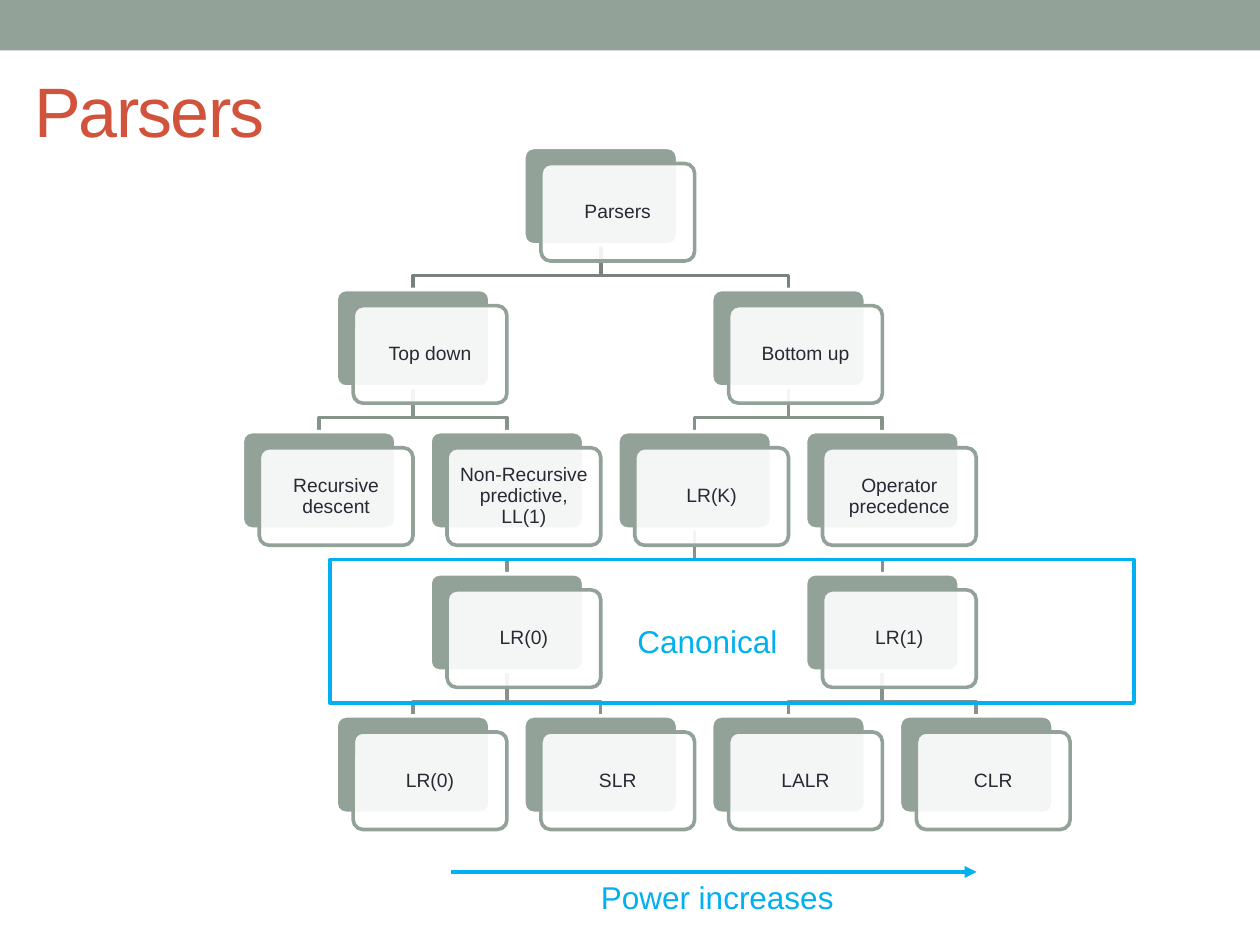
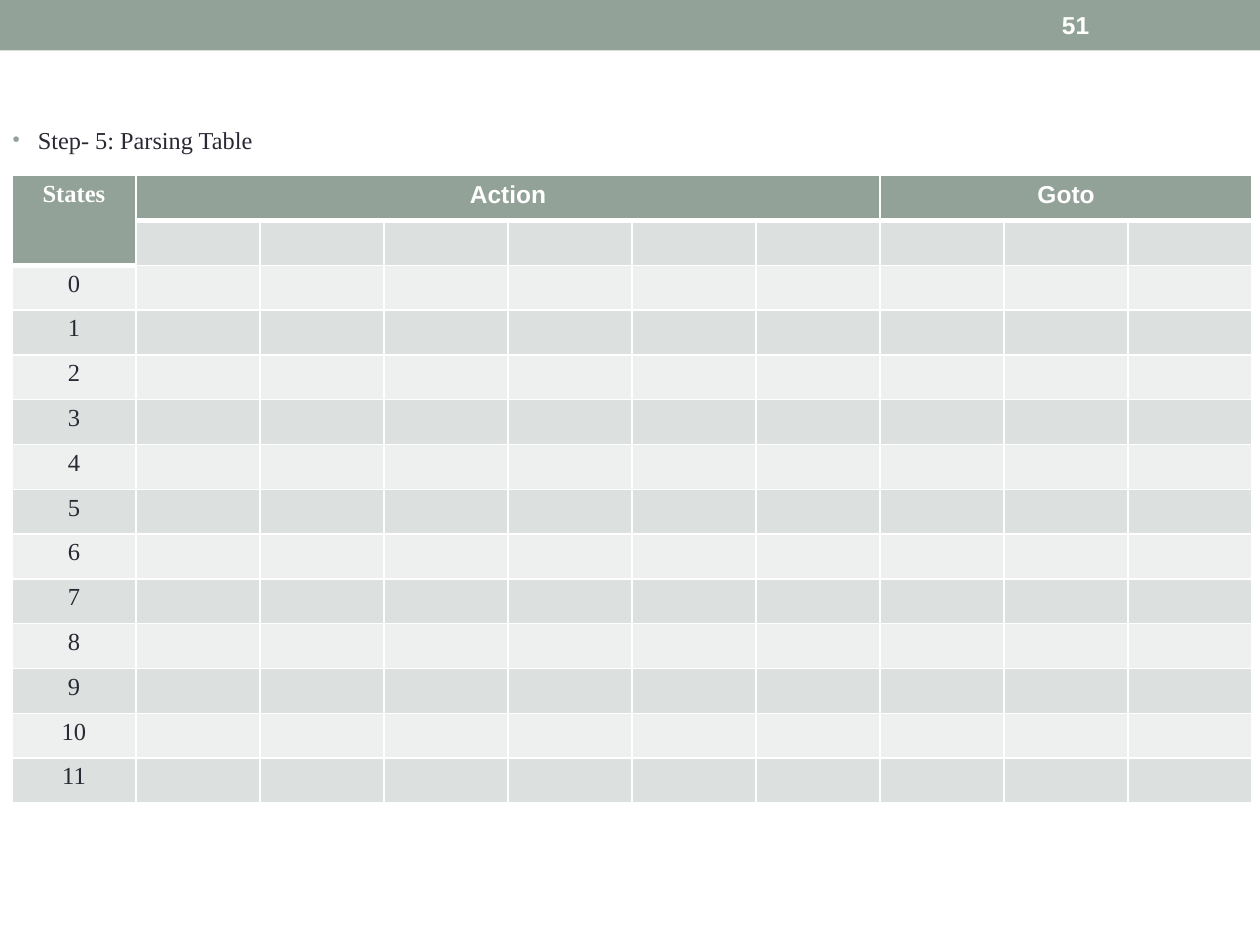
from lxml.etree import SubElement
from pptx import Presentation
from pptx.dml.color import RGBColor
from pptx.enum.shapes import MSO_CONNECTOR as CONNECTOR, MSO_SHAPE as SHAPE
from pptx.enum.text import MSO_ANCHOR as ANCHOR, MSO_AUTO_SIZE as AUTO_SIZE, PP_ALIGN as ALIGN
from pptx.oxml.ns import qn
from pptx.util import Inches, Pt

# Shared look; lengths count squares of a grid 100 columns by 75 rows
SQUARE = Inches(0.1)
SAGE, RUST, INK, SKY, WHITE = "93A299", "D2533C", "292934", "00B0F0", "FFFFFF"
ROOT_BRANCH, BRANCH = "76827B", "85938B"
BAND_LIGHT, BAND_DARK = "EEF0EF", "DCE0DE"
SANS, SERIF = "Arial", "Times New Roman"

# Parser tree: label, column of its centre, level, index of its parent
PARSER_TREE = [
    ("Parsers", 3, 0, None),
    ("Top down", 1, 1, 0),
    ("Bottom up", 5, 1, 0),
    ("Recursive descent", 0, 2, 1),
    ("Non-Recursive predictive, LL(1)", 2, 2, 1),
    ("LR(K)", 4, 2, 2),
    ("Operator precedence", 6, 2, 2),
    ("LR(0)", 2, 3, 5),
    ("LR(1)", 6, 3, 5),
    ("LR(0)", 1, 4, 7),
    ("SLR", 3, 4, 7),
    ("LALR", 5, 4, 8),
    ("CLR", 7, 4, 8),
]
TREE_LEFT, TREE_TOP = 25.33, 11.7
TREE_COLUMN, TREE_LEVEL = 7.45, 11.28
CARD_WIDTH, CARD_HEIGHT = 12.2, 7.74
CARD_SHIFT = (1.35, 1.28)
BRANCH_DROP = 2.42

# Parsing table: first column, spanning heads and number of states
ACTION_COLUMNS, GOTO_COLUMNS, STATES = 6, 3, 12
HEAD_ROWS = 2


def grid(*squares):
    return [round(count * SQUARE) for count in squares]


def color(hex_string):
    return RGBColor.from_string(hex_string)


def move(shape, place):
    shape.left, shape.top, shape.width, shape.height = grid(*place)


def style_shape(shape, fill=None, line=None, opacity=None):
    shape.shadow.inherit = False
    if fill:
        shape.fill.solid()
        shape.fill.fore_color.rgb = color(fill)
    else:
        shape.fill.background()
    if opacity:
        tint = shape.element.spPr.find(qn("a:solidFill"))[0]
        SubElement(tint, qn("a:alpha"), val=str(opacity * 1000))
    if line:
        shape.line.color.rgb = color(line)
        shape.line.width = Pt(2.08)
    else:
        shape.line.fill.background()


def add_box(slide, kind, place, **style):
    box = slide.shapes.add_shape(kind, *grid(*place))
    style_shape(box, **style)
    return box


def write(frame, text, size, ink, font=SANS, bold=False, align=ALIGN.LEFT):
    frame.word_wrap = True
    paragraph = frame.paragraphs[0]
    paragraph.alignment = align
    run = paragraph.add_run()
    run.text = text
    run.font.size, run.font.name, run.font.bold = Pt(size), font, bold
    run.font.color.rgb = color(ink)
    return run


def add_label(slide, text, place, size, ink, bold=False, anchor=ANCHOR.TOP):
    frame = slide.shapes.add_textbox(*grid(*place)).text_frame
    frame.vertical_anchor = anchor
    write(frame, text, size, ink, bold=bold)


def add_band_to_master(prs, slide):
    band = add_box(slide, SHAPE.RECTANGLE, (0, 0, 100, 4), fill=SAGE)
    band.element.nvSpPr.cNvPr.set("id", "20")
    prs.slide_master.shapes[0].element.addprevious(band.element)


def add_title(slide, text):
    title = slide.shapes.title
    move(title, (1.7, 3.3, 90, 10.8))
    frame = title.text_frame
    frame.auto_size = AUTO_SIZE.NONE
    frame.vertical_anchor = ANCHOR.MIDDLE
    run = write(frame, text, 40, RUST)
    run.font._element.set("spc", "-100")


def add_step(slide, text):
    step = slide.placeholders[1]
    move(step, (0, 9.4, 22.2, 4.2))
    frame = step.text_frame
    frame.auto_size = AUTO_SIZE.NONE
    paragraph = frame.paragraphs[0]
    indent = paragraph._p.get_or_add_pPr()
    indent.set("marL", str(Inches(0.2)))
    indent.set("indent", str(-Inches(0.2)))
    paragraph.space_before = Pt(0)
    bullet_color = SubElement(indent, qn("a:buClr"))
    SubElement(bullet_color, qn("a:srgbClr"), val=SAGE)
    SubElement(indent, qn("a:buSzPct"), val="85000")
    SubElement(indent, qn("a:buFont"), typeface=SANS)
    SubElement(indent, qn("a:buChar"), char="•")
    write(frame, text, 13.9, INK, SERIF)


# Parser tree
def node_center(node):
    return TREE_LEFT + node[1] * TREE_COLUMN


def node_top(node):
    return TREE_TOP + node[2] * TREE_LEVEL


def add_branch(slide, parent, child):
    start_x, end_x = node_center(parent), node_center(child)
    start_y = node_top(parent) + CARD_HEIGHT
    turn_y = start_y + BRANCH_DROP
    builder = slide.shapes.build_freeform(*grid(start_x, start_y))
    corners = [(start_x, turn_y), (end_x, turn_y), (end_x, node_top(child))]
    builder.add_line_segments([grid(*corner) for corner in corners], close=False)
    branch = builder.convert_to_shape()
    style_shape(branch, line=BRANCH if parent[2] else ROOT_BRANCH)


def add_node(slide, node):
    left, top = node_center(node) - CARD_WIDTH / 2, node_top(node)
    shift_x, shift_y = CARD_SHIFT
    back = add_box(slide, SHAPE.ROUNDED_RECTANGLE,
                   (left, top, CARD_WIDTH, CARD_HEIGHT), fill=SAGE, line=WHITE)
    card = add_box(slide, SHAPE.ROUNDED_RECTANGLE,
                   (left + shift_x, top + shift_y, CARD_WIDTH, CARD_HEIGHT),
                   fill=WHITE, line=SAGE, opacity=90)
    back.adjustments[0] = card.adjustments[0] = 0.1
    frame = card.text_frame
    frame.margin_left = frame.margin_right = Inches(0.05)
    frame.margin_top = frame.margin_bottom = Inches(0.05)
    frame.vertical_anchor = ANCHOR.MIDDLE
    write(frame, node[0], 11, INK, align=ALIGN.CENTER)
    frame.paragraphs[0].line_spacing = 0.9


def add_arrow(slide, start, end):
    arrow = slide.shapes.add_connector(CONNECTOR.STRAIGHT, *grid(*start, *end))
    arrow.line.color.rgb = color(SKY)
    arrow.line.width = Pt(2.25)
    SubElement(arrow.line._get_or_add_ln(), qn("a:tailEnd"), type="triangle")
    SubElement(arrow.element.spPr, qn("a:effectLst"))


# Parsing table
def add_borders(cell, top, bottom):
    properties = cell._tc.get_or_add_tcPr()
    for side, points in (("L", 1), ("R", 1), ("T", top), ("B", bottom)):
        edge = SubElement(properties, qn(f"a:ln{side}"), w=str(Pt(points)))
        edge_fill = SubElement(edge, qn("a:solidFill"))
        SubElement(edge_fill, qn("a:srgbClr"), val=WHITE)


def style_cell(cell, row, column):
    head_end = HEAD_ROWS - 1 if column == 0 else 0
    add_borders(cell, top=3 if row == head_end + 1 else 1,
                bottom=3 if row <= head_end else 1)
    cell.margin_left = cell.margin_right = Inches(0.07)
    cell.margin_top = cell.margin_bottom = Inches(0.04)
    cell.fill.solid()
    if row <= head_end:
        cell.fill.fore_color.rgb = color(SAGE)
    else:
        cell.fill.fore_color.rgb = color(BAND_DARK if row % 2 else BAND_LIGHT)
    # Empty cells keep the text size, so that rows do not grow
    SubElement(cell.text_frame.paragraphs[0]._p, qn("a:endParaRPr"), sz="1400")


def add_parsing_table(slide):
    columns, rows = 1 + ACTION_COLUMNS + GOTO_COLUMNS, HEAD_ROWS + STATES
    table = slide.shapes.add_table(rows, columns, *grid(0.95, 13.95, 98.45, 49.8)).table
    for row in range(rows):
        for column in range(columns):
            style_cell(table.cell(row, column), row, column)

    goto_start = 1 + ACTION_COLUMNS
    heads = [
        ("States", 0, HEAD_ROWS - 1, 0, SERIF),
        ("Action", 1, 0, goto_start - 1, SANS),
        ("Goto", goto_start, 0, columns - 1, SANS),
    ]
    for text, first, last_row, last_column, font in heads:
        head = table.cell(0, first)
        head.merge(table.cell(last_row, last_column))
        write(head.text_frame, text, 14, WHITE, font, True, ALIGN.CENTER)
    for state in range(STATES):
        state_cell = table.cell(HEAD_ROWS + state, 0)
        write(state_cell.text_frame, str(state), 14, INK, SERIF, align=ALIGN.CENTER)


def build_parsers_slide(slide):
    add_title(slide, "Parsers")
    for node in PARSER_TREE:
        if node[3] is not None:
            add_branch(slide, PARSER_TREE[node[3]], node)
    for node in PARSER_TREE:
        add_node(slide, node)
    add_box(slide, SHAPE.RECTANGLE, (26.2, 44.4, 63.8, 11.4), line=SKY)
    add_label(slide, "Canonical", (49.6, 48.9, 17.5, 4), 18, SKY)
    add_arrow(slide, (35.8, 69.2), (77.5, 69.2))
    add_label(slide, "Power increases", (46.7, 69.2, 23.3, 4), 18, SKY)


def build_table_slide(slide):
    slide.shapes.title.element.getparent().remove(slide.shapes.title.element)
    add_step(slide, "Step- 5: Parsing Table")
    add_label(slide, "51", (83.3, 0.2, 11.7, 3.6), 14, WHITE, True, ANCHOR.MIDDLE)
    add_parsing_table(slide)


def main():
    prs = Presentation()
    prs.slide_width, prs.slide_height = grid(100, 75)
    parsers_slide = prs.slides.add_slide(prs.slide_layouts[5])
    table_slide = prs.slides.add_slide(prs.slide_layouts[1])
    add_band_to_master(prs, parsers_slide)
    build_parsers_slide(parsers_slide)
    build_table_slide(table_slide)
    prs.save("out.pptx")


if __name__ == "__main__":
    main()
